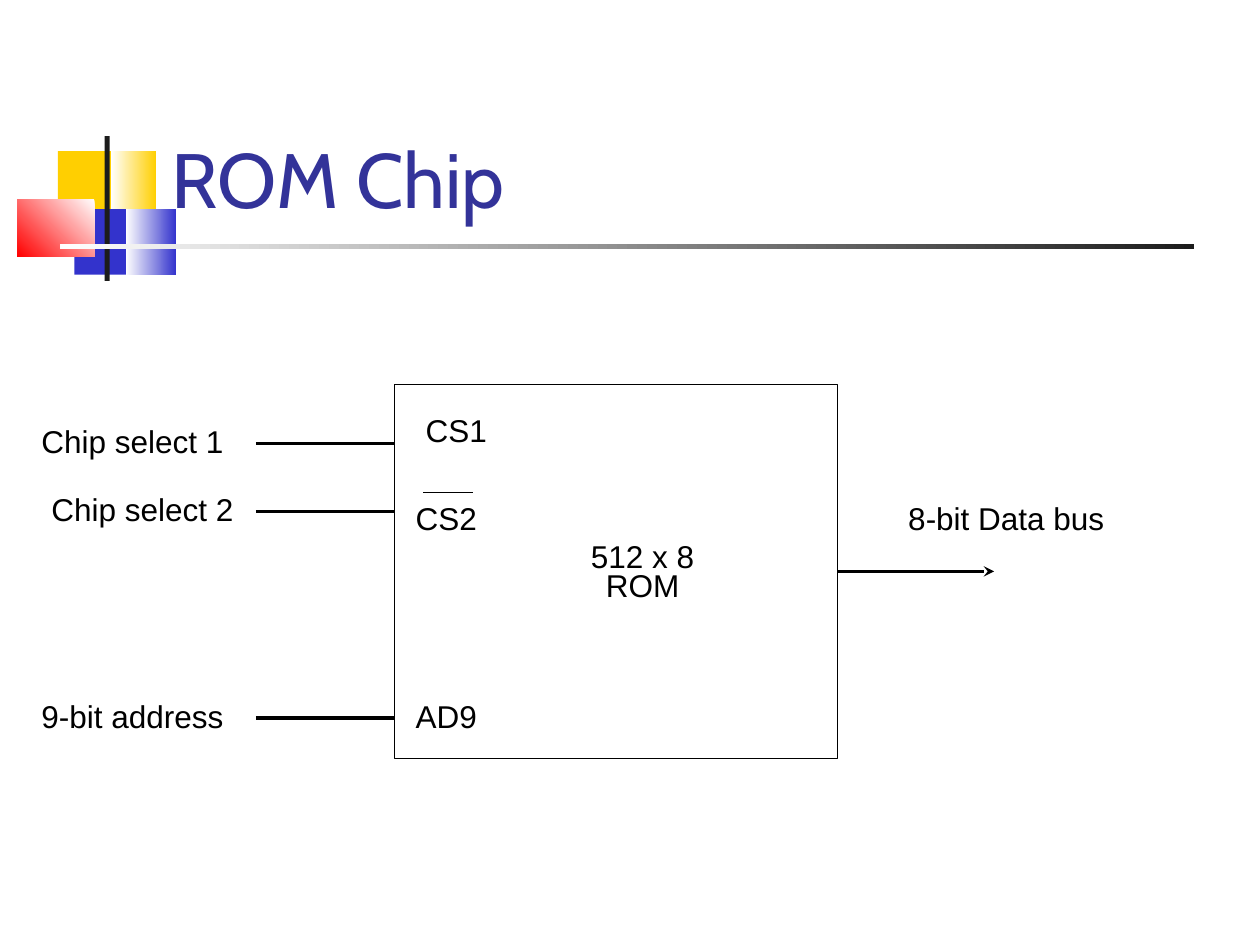
from dataclasses import dataclass

from lxml.etree import SubElement
from pptx import Presentation
from pptx.dml.color import RGBColor
from pptx.enum.shapes import MSO_CONNECTOR, MSO_SHAPE
from pptx.enum.text import MSO_ANCHOR, PP_ALIGN
from pptx.oxml.ns import qn
from pptx.util import Inches, Pt


@dataclass(frozen=True)
class Theme:
    title_font: str = "Cabin"
    body_font: str = "Arial"
    title_size: float = 44
    body_size: float = 18
    thin: float = 0.75
    thick: float = 2
    title: str = "333399"
    ink: str = "000000"
    bar: str = "1C1C1C"
    yellow: str = "FFCF01"
    blue: str = "3333CC"
    red: str = "FF0000"
    white: str = "FFFFFF"


THEME = Theme()


def color(value):
    return RGBColor.from_string(value)


def add_block(slide, left, top, width, height, colors, angle=180):
    """Add a borderless rectangle, solid for one color, gradient for two."""
    shape = slide.shapes.add_shape(
        MSO_SHAPE.RECTANGLE, Inches(left), Inches(top), Inches(width), Inches(height))
    shape.shadow.inherit = False
    shape.line.fill.background()
    if len(colors) == 1:
        shape.fill.solid()
        shape.fill.fore_color.rgb = color(colors[0])
        return
    shape.fill.gradient()
    shape.fill.gradient_angle = angle
    for stop, value, position in zip(shape.fill.gradient_stops, colors, (0, 1)):
        stop.color.rgb = color(value)
        stop.position = position


def add_line(slide, start, end, width):
    line = slide.shapes.add_connector(
        MSO_CONNECTOR.STRAIGHT, *(Inches(value) for value in (*start, *end)))
    line.line.color.rgb = color(THEME.ink)
    line.line.width = Pt(width)
    SubElement(line.element.spPr, qn("a:effectLst"))
    return line


def add_run(paragraph, text, font, size, value):
    run = paragraph.add_run()
    run.text = text
    run.font.name = font
    run.font.size = Pt(size)
    run.font.color.rgb = color(value)


def add_label(slide, left, top, width, *lines, align=PP_ALIGN.LEFT):
    height = 0.33 + 0.23 * (len(lines) - 1)
    label = slide.shapes.add_textbox(
        Inches(left), Inches(top), Inches(width), Inches(height))
    frame = label.text_frame
    frame.word_wrap = True
    for index, text in enumerate(lines):
        paragraph = frame.add_paragraph() if index else frame.paragraphs[0]
        paragraph.alignment = align
        paragraph.line_spacing = 0.76
        add_run(paragraph, text, THEME.body_font, THEME.body_size, THEME.ink)


def add_ornament(slide, left, top):
    """Add the colored squares, upright bar and fading rule."""
    add_block(slide, left + 0.32, top + 0.12, 0.48, 0.52, [THEME.yellow])
    add_block(slide, left + 0.74, top + 0.12, 0.36, 0.52, [THEME.yellow, THEME.white])
    add_block(slide, left + 0.45, top + 0.58, 0.46, 0.52, [THEME.blue])
    add_block(slide, left + 0.86, top + 0.58, 0.4, 0.52, [THEME.blue, THEME.white])
    add_block(slide, left, top + 0.5, 0.61, 0.46, [THEME.white, THEME.red], angle=225)
    add_block(slide, left + 0.69, top, 0.04, 1.15, [THEME.bar])
    add_block(slide, left + 0.34, top + 0.86, 9, 0.04, [THEME.bar, THEME.white])


def set_title(slide, left, top, width, height, text):
    title = slide.shapes.title
    title.left, title.top = Inches(left), Inches(top)
    title.width, title.height = Inches(width), Inches(height)
    title.element.getparent().append(title.element)  # in front of the ornament
    frame = title.text_frame
    frame.word_wrap = True
    frame.vertical_anchor = MSO_ANCHOR.BOTTOM
    paragraph = frame.paragraphs[0]
    paragraph.alignment = PP_ALIGN.LEFT
    paragraph.line_spacing = 1.04
    add_run(paragraph, text, THEME.title_font, THEME.title_size, THEME.title)


def add_chip(slide, left, top, width, height):
    """Add the ROM block with its pins, inputs and output bus."""
    chip = slide.shapes.add_shape(
        MSO_SHAPE.RECTANGLE, Inches(left), Inches(top), Inches(width), Inches(height))
    chip.shadow.inherit = False
    chip.fill.background()
    chip.line.color.rgb = color(THEME.ink)
    chip.line.width = Pt(THEME.thin)

    # wire offset, input name, name x, pin name, pin x, pin y offset from the wire
    inputs = [
        (0.47, "Chip select 1", -2.9, "CS1", 0.15, -0.24),
        (1.01, "Chip select 2", -2.82, "CS2", 0.07, -0.08),
        (2.65, "9-bit address", -2.9, "AD9", 0.07, -0.15),
    ]
    for offset, name, name_x, pin, pin_x, pin_y in inputs:
        y = top + offset
        add_line(slide, (left - 1.1, y), (left, y), THEME.thick)
        add_label(slide, left + name_x, y - 0.15, 1.8, name)
        add_label(slide, left + pin_x, y + pin_y, 0.7, pin)
    add_line(slide, (left + 0.23, top + 0.86), (left + 0.62, top + 0.86), THEME.thin)

    add_label(slide, left + 1.32, top + 1.23, 1.3, "512 x 8", "ROM",
              align=PP_ALIGN.CENTER)

    right, middle = left + width, top + height / 2
    bus = add_line(slide, (right, middle), (right + 1.24, middle), THEME.thick)
    bus.begin_connect(chip, 3)
    SubElement(bus.line._get_or_add_ln(), qn("a:tailEnd"), type="stealth")
    add_label(slide, right + 0.46, top + 0.93, 2.42, "8-bit Data bus")


def main():
    presentation = Presentation()
    presentation.slide_width = Inches(10)
    presentation.slide_height = Inches(7.5)
    slide = presentation.slides.add_slide(presentation.slide_layouts[5])
    add_ornament(slide, 0.14, 1.08)
    set_title(slide, 1.26, 0.22, 8.52, 1.61, "ROM Chip")
    add_chip(slide, 3.13, 3.05, 3.52, 2.97)
    presentation.save("out.pptx")


if __name__ == "__main__":
    main()
